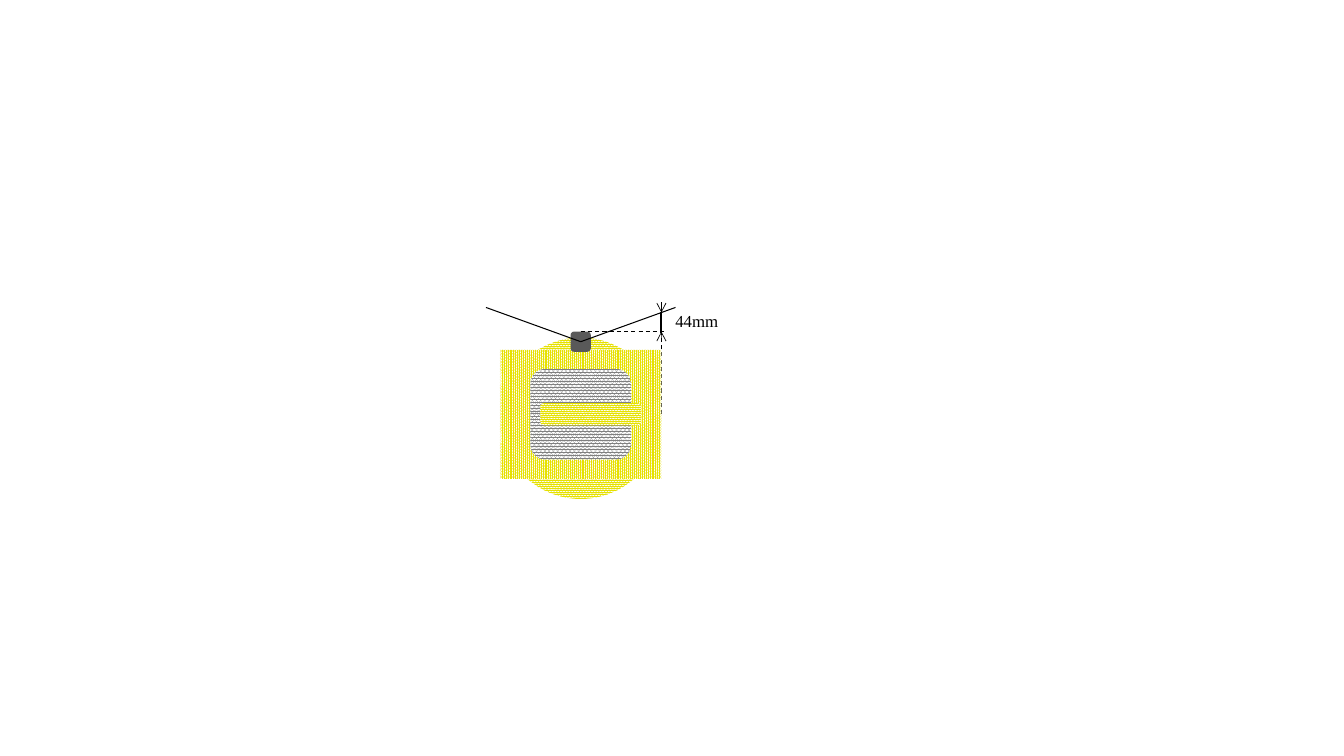
from lxml.etree import SubElement
from pptx import Presentation
from pptx.dml.color import RGBColor
from pptx.enum.dml import MSO_LINE_DASH_STYLE as Dash, MSO_PATTERN_TYPE as Pattern
from pptx.enum.shapes import MSO_AUTO_SHAPE_TYPE as Shape, MSO_CONNECTOR_TYPE as Connector
from pptx.enum.text import MSO_AUTO_SIZE as AutoSize
from pptx.oxml.ns import qn
from pptx.util import Inches, Pt

BLACK = RGBColor(0x00, 0x00, 0x00)
WHITE = RGBColor(0xFF, 0xFF, 0xFF)
YELLOW = RGBColor(0xE6, 0xE1, 0x00)
GREY = RGBColor(0x80, 0x80, 0x80)
DARK_GREY = RGBColor(0x59, 0x59, 0x59)


class Drawing:
    font_name = "Times New Roman"
    font_size = Pt(12)

    def __init__(self, page):
        self.shapes = page.shapes.add_group_shape().shapes

    def block(self, kind, left, top, width, height, color, pattern=None):
        shape = self.shapes.add_shape(
            kind, Inches(left), Inches(top), Inches(width), Inches(height))
        shape.shadow.inherit = False
        shape.line.fill.background()
        if pattern is None:
            shape.fill.solid()
            shape.fill.fore_color.rgb = color
        else:
            shape.fill.patterned()
            shape.fill.pattern = pattern
            shape.fill.fore_color.rgb = color
            shape.fill.back_color.rgb = WHITE

    def line(self, start, end, width=0.75, dashed=False, arrow=False):
        points = [Inches(value) for value in (*start, *end)]
        connector = self.shapes.add_connector(Connector.STRAIGHT, *points)
        connector.line.color.rgb = BLACK
        connector.line.width = Pt(width)
        if dashed:
            connector.line.dash_style = Dash.DASH
        properties = connector._element.spPr
        if arrow:
            SubElement(properties.find(qn("a:ln")), qn("a:headEnd"), type="arrow")
        SubElement(properties, qn("a:effectLst"))

    def label(self, text, left, top, width, height):
        box = self.shapes.add_textbox(
            Inches(left), Inches(top), Inches(width), Inches(height))
        frame = box.text_frame
        frame.text = text
        frame.word_wrap = False
        frame.auto_size = AutoSize.SHAPE_TO_FIT_TEXT
        font = frame.paragraphs[0].runs[0].font
        font.name = self.font_name
        font.size = self.font_size
        font.color.rgb = BLACK


def main():
    deck = Presentation()
    deck.slide_width = Inches(13.33)
    deck.slide_height = Inches(7.5)
    drawing = Drawing(deck.slides.add_slide(deck.slide_layouts[6]))

    center, gauge = 5.76, 6.56
    sensor_top, sensor_middle = 3.29, 3.39
    beam_top, beam_reach = 3.05, 0.94
    gap_top = 3.1

    drawing.line((gauge, 4.11), (gauge, gap_top), dashed=True)
    drawing.block(Shape.OVAL, 4.96, 3.35, 1.6, 1.6, YELLOW, Pattern.PERCENT_90)
    drawing.block(Shape.RECTANGLE, 4.96, 3.47, 1.6, 1.28, YELLOW, Pattern.PERCENT_90)
    drawing.block(Shape.ROUNDED_RECTANGLE, 5.26, 3.66, 1, 0.9, GREY, Pattern.PERCENT_80)
    drawing.block(Shape.ROUNDED_RECTANGLE, 5.36, 4, 1, 0.22, YELLOW, Pattern.PERCENT_90)
    drawing.block(Shape.ROUNDED_RECTANGLE, 5.66, sensor_top, 0.2, 0.2, DARK_GREY)

    for reach in (beam_reach, -beam_reach):
        drawing.line((center, sensor_middle), (center + reach, beam_top))

    drawing.line((center, sensor_top), (6.61, sensor_top), dashed=True)
    drawing.line((gauge, gap_top), (gauge, 3.3), width=1.5)
    for tip, tail in ((gap_top, 3), (sensor_top, sensor_middle)):
        drawing.line((gauge, tip), (gauge, tail), width=0.5, arrow=True)
    drawing.label("44mm", 6.6, 3.03, 0.63, 0.3)

    deck.save("out.pptx")


if __name__ == "__main__":
    main()
